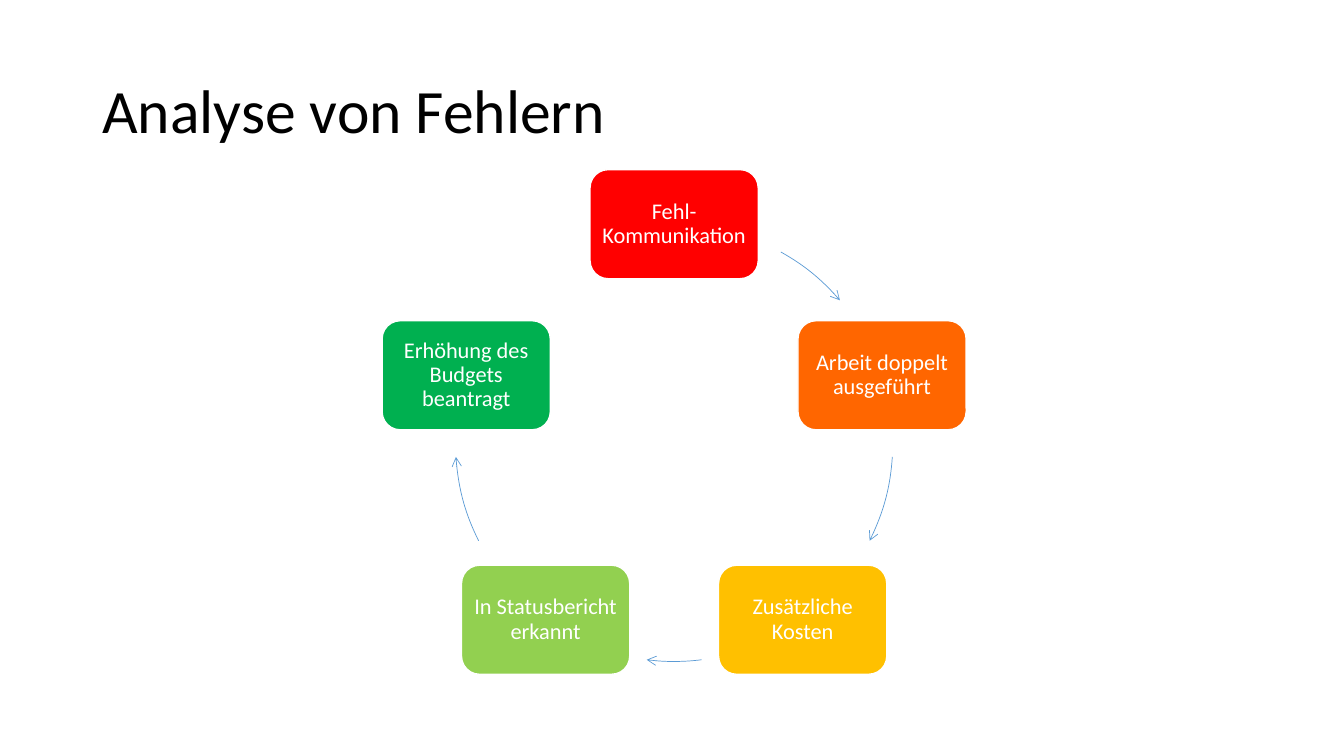
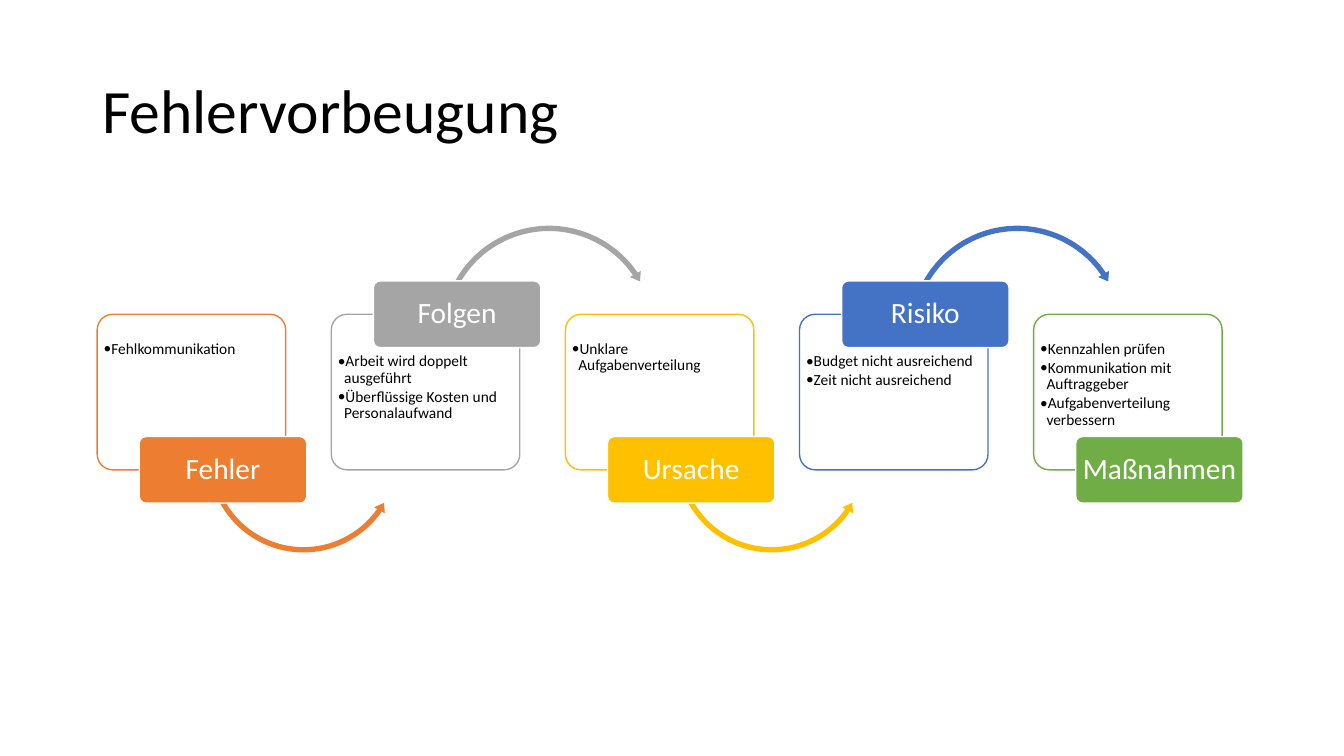
from math import cos, radians, sin

from lxml import etree
from pptx import Presentation
from pptx.dml.color import RGBColor
from pptx.enum.shapes import MSO_SHAPE
from pptx.enum.text import MSO_ANCHOR, MSO_AUTO_SIZE, PP_ALIGN
from pptx.oxml.ns import qn
from pptx.util import Cm, Pt

ROUNDED, ARC = MSO_SHAPE.ROUNDED_RECTANGLE, MSO_SHAPE.ARC
ARROW_OVER, ARROW_UNDER = MSO_SHAPE.CIRCULAR_ARROW, MSO_SHAPE.LEFT_CIRCULAR_ARROW
TOP, MIDDLE = MSO_ANCHOR.TOP, MSO_ANCHOR.MIDDLE
LEFT, CENTER = PP_ALIGN.LEFT, PP_ALIGN.CENTER

# Content
CYCLE_TITLE = "Analyse von Fehlern"
CYCLE_STEPS = [
    ("Fehl-Kommunikation", "red"),
    ("Arbeit doppelt ausgeführt", "deep_orange"),
    ("Zusätzliche Kosten", "gold"),
    ("In Statusbericht erkannt", "light_green"),
    ("Erhöhung des Budgets beantragt", "green"),
]
# Start and end of each arc, in degrees clockwise from the top
CYCLE_ARCS = [(29.2, 49.3), (93.7, 116.6), (172.8, 187.2), (243.4, 266.3)]

PREVENTION_TITLE = "Fehlervorbeugung"
PREVENTION_STEPS = [
    ("Fehler", "orange", ["Fehlkommunikation"]),
    ("Folgen", "gray", ["Arbeit wird doppelt ausgeführt",
                        "Überflüssige Kosten und Personalaufwand"]),
    ("Ursache", "gold", ["Unklare Aufgabenverteilung"]),
    ("Risiko", "blue", ["Budget nicht ausreichend", "Zeit nicht ausreichend"]),
    ("Maßnahmen", "leaf", ["Kennzahlen prüfen", "Kommunikation mit Auftraggeber",
                           "Aufgabenverteilung verbessern"]),
]

# Shared style
COLORS = {
    "black": "000000", "white": "FFFFFF", "red": "FF0000", "deep_orange": "FF6600",
    "gold": "FFC000", "light_green": "92D050", "green": "00B050", "arc": "5B9BD5",
    "orange": "ED7D31", "gray": "A5A5A5", "blue": "4472C4", "leaf": "70AD47",
}
FONT = "Calibri"
TITLE_BOX = (2.33, 1.02, 29.21, 3.68)
TITLE_TEXT = {"size": 44, "color": "black", "align": LEFT, "after": 0}
NODE_TEXT = {"size": 16, "color": "white", "align": CENTER, "after": 0}
LABEL_TEXT = {"size": 21, "color": "white", "align": CENTER, "after": 0}
BULLET_TEXT = {"size": 11, "color": "black", "align": LEFT, "after": 1.65}

# Cycle geometry in cm
CENTER_X, CENTER_Y, RADIUS = 16.99, 11.16, 5.51
NODE_W, NODE_H = 4.24, 2.75

# Prevention geometry in cm
PANEL_X, PANEL_Y, PANEL_W, PANEL_H, PANEL_PITCH = 2.45, 7.92, 4.75, 3.92, 5.9
LABEL_W, LABEL_H, LABEL_SHIFT = 4.22, 1.68, 1.06
BULLET_INDENT = 0.16
# Per side: arrow preset, offset from the panel, size, adjustments
ARROWS = {
    "over": (ARROW_OVER, 2.69, -2.32, 5.59, (0.024, 2.857, 195.388, 125.755, 0.028)),
    "under": (ARROW_UNDER, 2.71, 1.11, 4.98, (0.027, 3.226, 20.981, 90.245, 0.031)),
}
TEXT_TOP = {"over": 0.87, "under": 0.56}


def rgb(name):
    return RGBColor.from_string(COLORS[name])


def add_part(slide, preset, box, fill=None, line=None, line_width=1, adjustments=()):
    part = slide.shapes.add_shape(preset, *map(Cm, box))
    part.shadow.inherit = False
    if fill:
        part.fill.solid()
        part.fill.fore_color.rgb = rgb(fill)
    else:
        part.fill.background()
    if line:
        part.line.color.rgb = rgb(line)
        part.line.width = Pt(line_width)
    else:
        part.line.fill.background()
    for i, value in enumerate(adjustments):
        part.adjustments[i] = value
    return part


def add_bullet(paragraph):
    properties = paragraph._p.get_or_add_pPr()
    properties.set("marL", str(Cm(BULLET_INDENT)))
    properties.set("indent", str(-Cm(BULLET_INDENT)))
    etree.SubElement(properties, qn("a:buFont")).set("typeface", FONT)
    etree.SubElement(properties, qn("a:buChar")).set("char", "•")


def write(part, lines, style, margins, anchor=MIDDLE, bullets=False):
    frame = part.text_frame
    frame.word_wrap = True
    frame.auto_size = MSO_AUTO_SIZE.NONE
    frame.vertical_anchor = anchor
    for side, margin in zip(("left", "top", "right", "bottom"), margins):
        setattr(frame, f"margin_{side}", Cm(margin))
    for i, line in enumerate(lines):
        paragraph = frame.add_paragraph() if i else frame.paragraphs[0]
        paragraph.text = line
        if bullets:
            add_bullet(paragraph)
        layout = {"alignment": style["align"], "line_spacing": 0.9,
                  "space_before": Pt(0), "space_after": Pt(style["after"])}
        for key, value in layout.items():
            setattr(paragraph, key, value)
        font = paragraph.runs[0].font
        font.name, font.size = FONT, Pt(style["size"])
        font.color.rgb = rgb(style["color"])


def add_titled_slide(deck, title):
    slide = deck.slides.add_slide(deck.slide_layouts[5])
    heading = slide.shapes.title
    for key, value in zip(("left", "top", "width", "height"), TITLE_BOX):
        setattr(heading, key, Cm(value))
    write(heading, [title], TITLE_TEXT, (0.25, 0.13, 0.25, 0.13))
    return slide


def build_cycle(deck):
    slide = add_titled_slide(deck, CYCLE_TITLE)
    # Nodes at equal angles on the circle
    for i, (text, color) in enumerate(CYCLE_STEPS):
        angle = radians(360 / len(CYCLE_STEPS) * i)
        left = CENTER_X + RADIUS * sin(angle) - NODE_W / 2
        top = CENTER_Y - RADIUS * cos(angle) - NODE_H / 2
        node = add_part(slide, ROUNDED, (left, top, NODE_W, NODE_H), color, "white")
        write(node, [text], NODE_TEXT, (0.15,) * 4)
    # Arcs on the same circle; presets count angles from the right
    circle = (CENTER_X - RADIUS, CENTER_Y - RADIUS, 2 * RADIUS, 2 * RADIUS)
    for span in CYCLE_ARCS:
        angles = [(degrees - 90) % 360 * 0.6 for degrees in span]
        arc = add_part(slide, ARC, circle, None, "arc", 0.5, angles)
        etree.SubElement(arc.line._get_or_add_ln(), qn("a:tailEnd")).set("type", "arrow")


def build_prevention(deck):
    slide = add_titled_slide(deck, PREVENTION_TITLE)
    for i, (name, color, points) in enumerate(PREVENTION_STEPS):
        side = "over" if i % 2 else "under"
        left = PANEL_X + i * PANEL_PITCH
        # Panel with bullets
        panel = add_part(slide, ROUNDED, (left, PANEL_Y, PANEL_W, PANEL_H),
                         "white", color, adjustments=(0.1,))
        write(panel, points, BULLET_TEXT, (0.05, TEXT_TOP[side], 0.04, 0.05), TOP, True)
        # Arrow to the next panel
        if i < len(PREVENTION_STEPS) - 1:
            preset, dx, dy, size, adjustments = ARROWS[side]
            add_part(slide, preset, (left + dx, PANEL_Y + dy, size, size),
                     color, adjustments=adjustments)
        # Label centred on the panel's upper or lower edge
        edge = PANEL_Y if side == "over" else PANEL_Y + PANEL_H
        label = add_part(slide, ROUNDED,
                         (left + LABEL_SHIFT, edge - LABEL_H / 2, LABEL_W, LABEL_H),
                         color, "white", adjustments=(0.1,))
        write(label, [name], LABEL_TEXT, (0,) * 4)


def main():
    deck = Presentation()
    deck.slide_width, deck.slide_height = Cm(33.87), Cm(19.05)
    build_cycle(deck)
    build_prevention(deck)
    deck.save("out.pptx")


if __name__ == "__main__":
    main()
